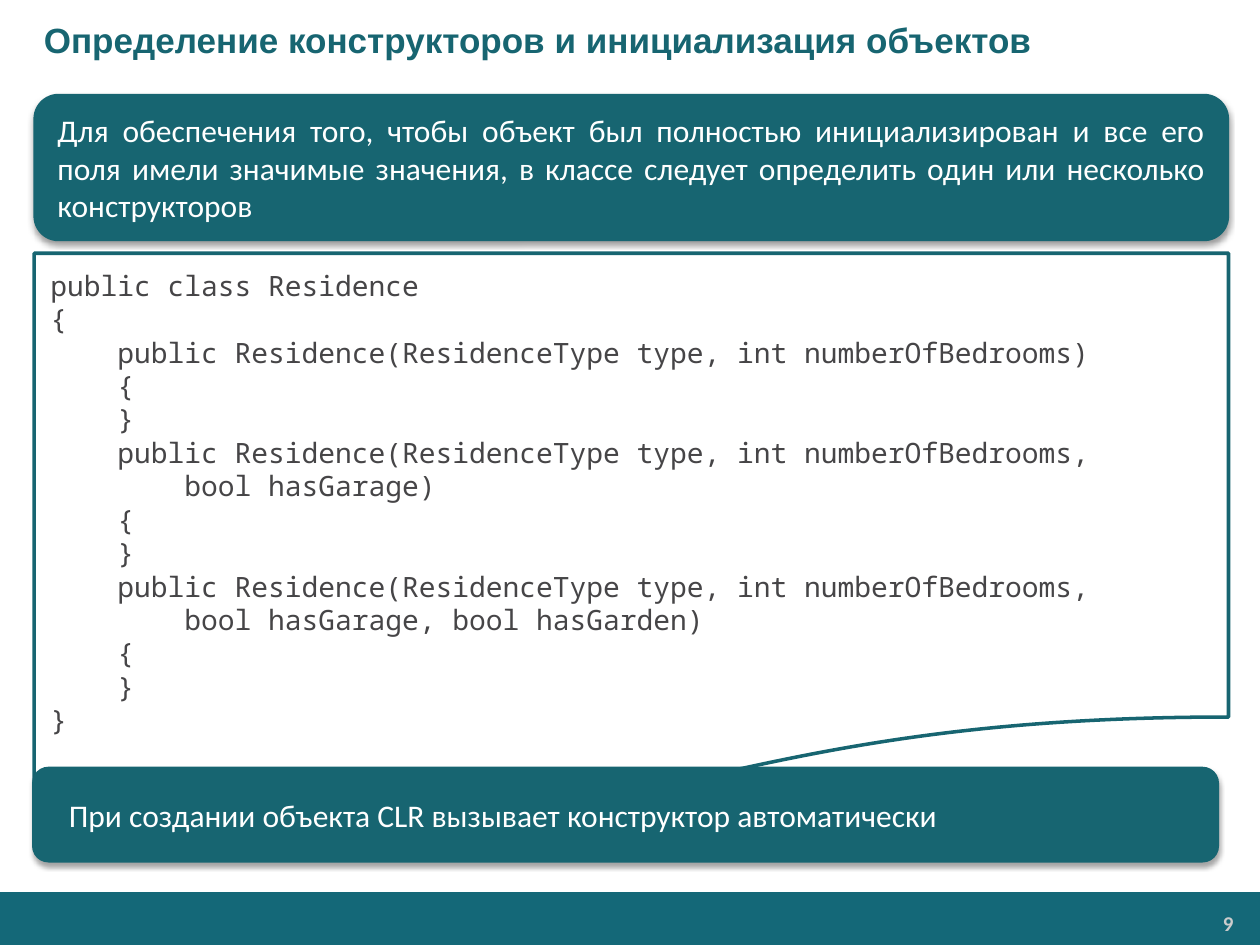
"""Build a slide on defining constructors and initialising objects."""
from dataclasses import dataclass

from lxml import etree
from pptx import Presentation
from pptx import util as u
from pptx.dml.color import RGBColor
from pptx.enum import shapes, text
from pptx.oxml.ns import qn

COLS, ROWS = 100, 75
WIDTH, HEIGHT = u.Inches(10), u.Inches(7.5)
SHAPE, ALIGN, ANCHOR = shapes.MSO_SHAPE, text.PP_ALIGN, text.MSO_ANCHOR

CODE = """public class Residence
{
    public Residence(ResidenceType type, int numberOfBedrooms)
    {
    }
    public Residence(ResidenceType type, int numberOfBedrooms,
        bool hasGarage)
    {
    }
    public Residence(ResidenceType type, int numberOfBedrooms,
        bool hasGarage, bool hasGarden)
    {
    }
}"""


@dataclass(frozen=True)
class Style:
    font: str
    size: float
    color: str
    bold: bool = False


@dataclass(frozen=True)
class Theme:
    teal: str = "176571"
    footer: str = "146878"
    white: str = "FFFFFF"
    shadow: str = "000000"
    title: Style = Style("Arial", 20, "176571", True)
    body: Style = Style("Calibri", 18, "FFFFFF")
    code: Style = Style("Noto Sans Mono", 16, "464547")
    number: Style = Style("Calibri", 12, "CCCCCC", True)
    code_leading: float = 19.1


@dataclass(frozen=True)
class Box:
    col: float
    row: float
    cols: float
    rows: float

    def emu(self) -> tuple[int, ...]:
        return (int(self.col * WIDTH / COLS), int(self.row * HEIGHT / ROWS),
                int(self.cols * WIDTH / COLS), int(self.rows * HEIGHT / ROWS))


@dataclass(frozen=True)
class Callout:
    box: Box
    words: str
    opacity: int
    distance: float
    indent: float = 0


THEME = Theme()
CALLOUTS = (
    Callout(Box(2.7, 7.5, 94.8, 11.6),
            "Для обеспечения того, чтобы объект был полностью инициализирован "
            "и все его поля имели значимые значения, в классе следует "
            "определить один или несколько конструкторов", 38, 1.6),
    Callout(Box(2.6, 60.9, 94.1, 7.5),
            "При создании объекта CLR вызывает конструктор автоматически",
            35, 1.8, 0.12),
)


def write(sp, words: str, style: Style, align=ALIGN.LEFT, anchor=ANCHOR.MIDDLE,
          insets=(0.13, 0.06), indent: float = 0, leading: float | None = None):
    tf = sp.text_frame
    tf.word_wrap = True
    tf.vertical_anchor = anchor
    tf.margin_left = tf.margin_right = u.Inches(insets[0])
    tf.margin_top = tf.margin_bottom = u.Inches(insets[1])
    tf.text = words
    for p in tf.paragraphs:
        p.alignment = align
        if indent:
            p._p.get_or_add_pPr().set("marL", str(u.Inches(indent)))
        if leading:
            p.line_spacing = u.Pt(leading)
        p.font.name, p.font.size, p.font.bold = style.font, u.Pt(style.size), style.bold
        p.font.color.rgb = RGBColor.from_string(style.color)


def add_shape(s, kind, box: Box, fill: str, line: str | None = None, width: float = 0.75):
    sp = s.shapes.add_shape(kind, *box.emu())
    sp.shadow.inherit = False
    sp.fill.solid()
    sp.fill.fore_color.rgb = RGBColor.from_string(fill)
    if line:
        sp.line.color.rgb = RGBColor.from_string(line)
        sp.line.width = u.Pt(width)
    else:
        sp.line.fill.background()
    return sp


def add_shadow(sp, opacity: int, distance: float):
    effects = sp._element.spPr.find(qn("a:effectLst"))
    shadow = etree.SubElement(effects, qn("a:outerShdw"), blurRad=str(u.Pt(3.1)),
                              dist=str(u.Pt(distance)), dir="5400000", rotWithShape="0")
    color = etree.SubElement(shadow, qn("a:srgbClr"), val=THEME.shadow)
    etree.SubElement(color, qn("a:alpha"), val=str(opacity * 1000))


def add_callout(s, callout: Callout):
    sp = add_shape(s, SHAPE.ROUNDED_RECTANGLE, callout.box, THEME.teal, THEME.teal)
    add_shadow(sp, callout.opacity, callout.distance)
    write(sp, callout.words, THEME.body, ALIGN.JUSTIFY, indent=callout.indent)


def add_code(s, box: Box):
    sp = add_shape(s, SHAPE.FLOWCHART_DOCUMENT, box, THEME.white, THEME.teal, 2)
    write(sp, CODE, THEME.code, anchor=ANCHOR.TOP, insets=(0.13, 0.12),
          leading=THEME.code_leading)


def main():
    prs = Presentation()
    prs.slide_width, prs.slide_height = WIDTH, HEIGHT
    s = prs.slides.add_slide(prs.slide_layouts[6])
    add_shape(s, SHAPE.RECTANGLE, Box(0, 70.8, COLS, 4.2), THEME.footer)
    number = s.shapes.add_textbox(*Box(82.3, 71.9, 16.3, 2.8).emu())
    write(number, "9", THEME.number, ALIGN.RIGHT, ANCHOR.TOP, (0.07, 0.04))
    title = s.shapes.add_textbox(*Box(0, 0, COLS, 6.3).emu())
    write(title, "Определение конструкторов и инициализация объектов",
          THEME.title, insets=(0.1, 0.05), indent=0.25)
    opening, closing = CALLOUTS
    add_callout(s, opening)
    add_code(s, Box(2.7, 20.1, 94.8, 45.9))
    add_callout(s, closing)
    prs.save("out.pptx")


if __name__ == "__main__":
    main()
